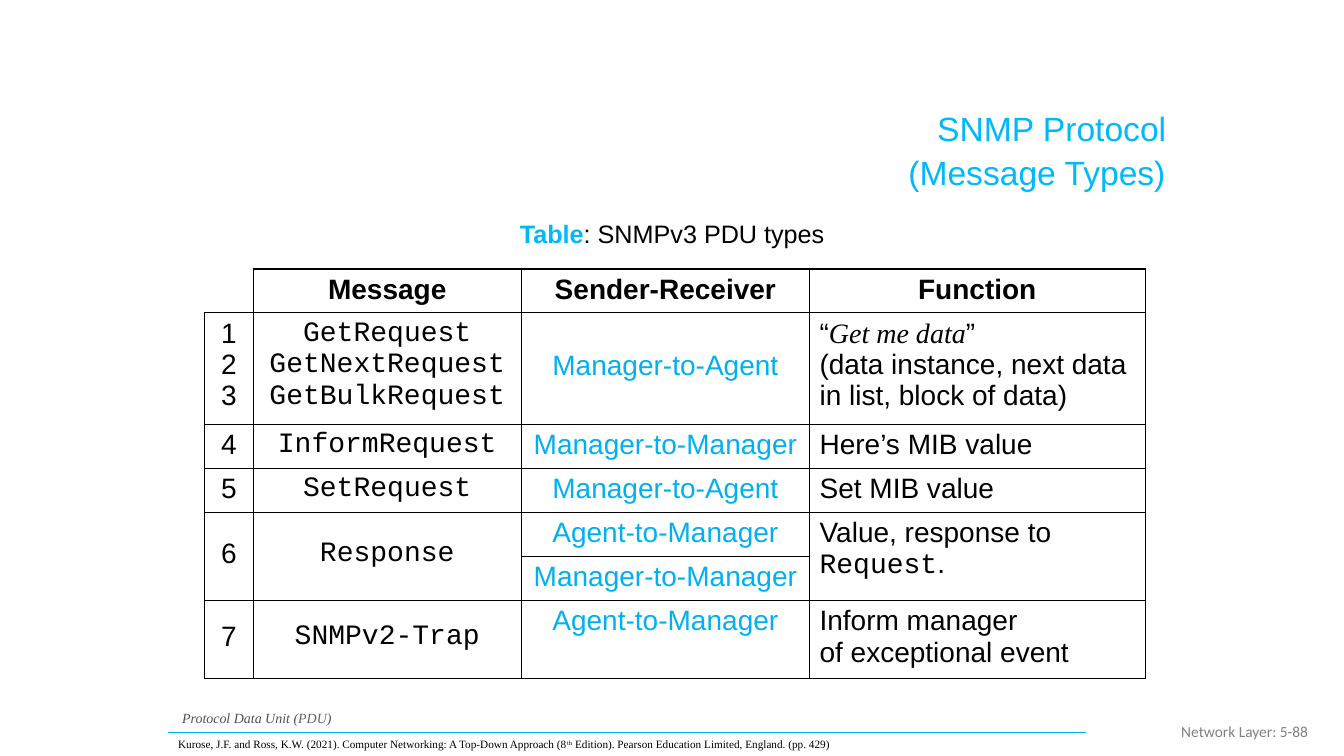
import pptx
import pptx.dml.color
import pptx.enum.shapes
import pptx.enum.text
import pptx.oxml.ns
import pptx.util
import lxml.etree
from dataclasses import dataclass
from pptx.util import Cm


@dataclass(frozen=True)
class Theme:
    sans: str = "Arial"
    mono: str = "Courier New"
    serif: str = "Times New Roman"
    footer: str = "Calibri"
    black: str = "000000"
    title: str = "00B9FA"
    accent: str = "00B0F0"
    grey: str = "808080"
    note: str = "4D5156"
    note_light: str = "5F6368"
    title_size: int = 24
    table_size: int = 20
    caption_size: int = 18
    footer_size: int = 11
    note_size: int = 10
    citation_size: int = 8


THEME = Theme()
ALIGN = pptx.enum.text.PP_ALIGN
ANCHOR = pptx.enum.text.MSO_ANCHOR

PLAIN = {"font": THEME.sans}
HEAD = {"bold": True}
CODE = {"font": THEME.mono}
ROLE = {"color": THEME.accent}
QUOTE = {"font": THEME.serif, "italic": True}
TITLE = {"size": THEME.title_size, "color": THEME.title}
CAPTION = {"size": THEME.caption_size}
NOTE = {"font": THEME.serif, "size": THEME.note_size, "italic": True, "color": THEME.note}
CITATION = {"font": THEME.serif, "size": THEME.citation_size}
FOOTER = {"font": THEME.footer, "size": THEME.footer_size, "color": THEME.grey}

HEADERS = ["", "Message", "Sender-Receiver", "Function"]
MESSAGES = [
    (["1", "2", "3"], ["GetRequest", "GetNextRequest", "GetBulkRequest"], "Manager-to-Agent",
     [[("“", PLAIN), ("Get me data", QUOTE), ("”", PLAIN)],
      [("(data instance, next data in list, block of data)", PLAIN)]]),
    (["4"], ["InformRequest"], "Manager-to-Manager", [[("Here’s MIB value", PLAIN)]]),
    (["5"], ["SetRequest"], "Manager-to-Agent", [[("Set MIB value", PLAIN)]]),
    (["6"], ["Response"], "Agent-to-Manager",
     [[("Value, response to", PLAIN)], [("Request", CODE), (".", PLAIN)]]),
    ([], [], "Manager-to-Manager", []),
    (["7"], ["SNMPv2-Trap"], "Agent-to-Manager",
     [[("Inform manager", PLAIN)], [("of exceptional event", PLAIN)]]),
]
COLUMN_WIDTHS = [1.22, 6.76, 7.26, 8.46]
ROW_HEIGHTS = [1.1, 2.81, 1.11, 1.11, 1.11, 1.11, 1.96]
MIDDLE_CELLS = {(1, 2), (4, 0), (4, 1), (6, 0), (6, 1)}
RESPONSE_ROW = 4
MERGED_COLUMNS = (0, 1, 3)

TEXTS = [
    ((4.24, 18.46, 22.17, 0.61), ALIGN.LEFT, ANCHOR.TOP, True, 1,
     [("Kurose, J.F. and Ross, K.W. (2021). Computer Networking: A Top-Down Approach (8", CITATION),
      ("th", {**CITATION, "raised": True}),
      (" Edition). Pearson Education Limited, England. (pp. 429)", CITATION)]),
    ((8.05, 2.59, 21.59, 1.3), ALIGN.RIGHT, ANCHOR.MIDDLE, True, 1, [("SNMP Protocol", TITLE)]),
    ((20.85, 3.68, 8.77, 1.3), ALIGN.RIGHT, ANCHOR.MIDDLE, True, 1, [("(Message Types)", TITLE)]),
    ((4.24, 5.49, 25.4, 0.89), ALIGN.CENTER, ANCHOR.TOP, True, 0.85,
     [("Table", {**CAPTION, "color": THEME.title, "bold": True}), (": SNMPv3 PDU types", CAPTION)]),
    ((4.34, 17.75, 4.34, 0.69), ALIGN.LEFT, ANCHOR.TOP, False, 1,
     [("Protocol Data Unit (", NOTE), ("PDU", {**NOTE, "color": THEME.note_light}), (")", NOTE)]),
    ((25.6, 17.91, 7.62, 1.02), ALIGN.RIGHT, ANCHOR.MIDDLE, True, 1,
     [("Network Layer: 5-88", FOOTER)]),
]


def rgb(color):
    return pptx.dml.color.RGBColor.from_string(color)


def add_runs(paragraph, runs):
    for text, style in runs:
        run = paragraph.add_run()
        run.text = text
        font = run.font
        font.name = style.get("font", THEME.sans)
        font.size = pptx.util.Pt(style.get("size", THEME.table_size))
        font.bold = style.get("bold", False)
        font.italic = style.get("italic", False)
        font.color.rgb = rgb(style.get("color", THEME.black))
        if style.get("raised"):
            font._element.set("baseline", "30000")


def fill_frame(frame, paragraphs, alignment, spacing=1):
    for index, runs in enumerate(paragraphs):
        paragraph = frame.add_paragraph() if index else frame.paragraphs[0]
        paragraph.alignment = alignment
        paragraph.line_spacing = spacing
        add_runs(paragraph, runs)


def add_text(slide, box, alignment, anchor, wrap, spacing, runs):
    frame = slide.shapes.add_textbox(*map(Cm, box)).text_frame
    frame.word_wrap = wrap
    frame.vertical_anchor = anchor
    fill_frame(frame, [runs], alignment, spacing)


def add_borders(cell, hidden):
    properties = cell._tc.get_or_add_tcPr()
    for position, side in enumerate(("lnL", "lnR", "lnT", "lnB")):
        line = lxml.etree.Element(pptx.oxml.ns.qn("a:" + side), w="12700")
        if side in hidden:
            lxml.etree.SubElement(line, pptx.oxml.ns.qn("a:noFill"))
        else:
            fill = lxml.etree.SubElement(line, pptx.oxml.ns.qn("a:solidFill"))
            lxml.etree.SubElement(fill, pptx.oxml.ns.qn("a:srgbClr"), val=THEME.black)
        properties.insert(position, line)


def table_rows():
    yield [[[(text, HEAD)]] if text else [] for text in HEADERS]
    for numbers, names, role, function in MESSAGES:
        yield [[[(text, PLAIN)] for text in numbers], [[(text, CODE)] for text in names],
               [[(role, ROLE)]], function]


def add_message_table(slide):
    frame = slide.shapes.add_table(
        len(ROW_HEIGHTS), len(COLUMN_WIDTHS), Cm(5.16), Cm(6.78),
        Cm(sum(COLUMN_WIDTHS)), Cm(sum(ROW_HEIGHTS)))
    table = frame.table
    table.first_row = False
    table.horz_banding = False
    for column, width in zip(table.columns, COLUMN_WIDTHS):
        column.width = Cm(width)
    for row, height in zip(table.rows, ROW_HEIGHTS):
        row.height = Cm(height)
    for column in MERGED_COLUMNS:
        table.cell(RESPONSE_ROW, column).merge(table.cell(RESPONSE_ROW + 1, column))
    for row, contents in enumerate(table_rows()):
        for column, paragraphs in enumerate(contents):
            cell = table.cell(row, column)
            cell.fill.background()
            add_borders(cell, ("lnL", "lnT") if row == column == 0 else ())
            if (row, column) in MIDDLE_CELLS:
                cell.vertical_anchor = ANCHOR.MIDDLE
                cell.margin_bottom = Cm(0.25)
            left_aligned = row > 0 and column == 3
            fill_frame(cell.text_frame, paragraphs, ALIGN.LEFT if left_aligned else ALIGN.CENTER)


def add_footer_line(slide):
    line = slide.shapes.add_connector(
        pptx.enum.shapes.MSO_CONNECTOR.STRAIGHT, Cm(4.24), Cm(18.46), Cm(27.36), Cm(18.46))
    line.line.color.rgb = rgb(THEME.accent)
    line.line.width = pptx.util.Pt(1)
    lxml.etree.SubElement(line._element.spPr, pptx.oxml.ns.qn("a:effectLst"))


def main():
    presentation = pptx.Presentation()
    presentation.slide_width = Cm(33.87)
    presentation.slide_height = Cm(19.05)
    slide = presentation.slides.add_slide(presentation.slide_layouts[6])
    add_footer_line(slide)
    add_message_table(slide)
    for text in TEXTS:
        add_text(slide, *text)
    presentation.save("out.pptx")


if __name__ == "__main__":
    main()
